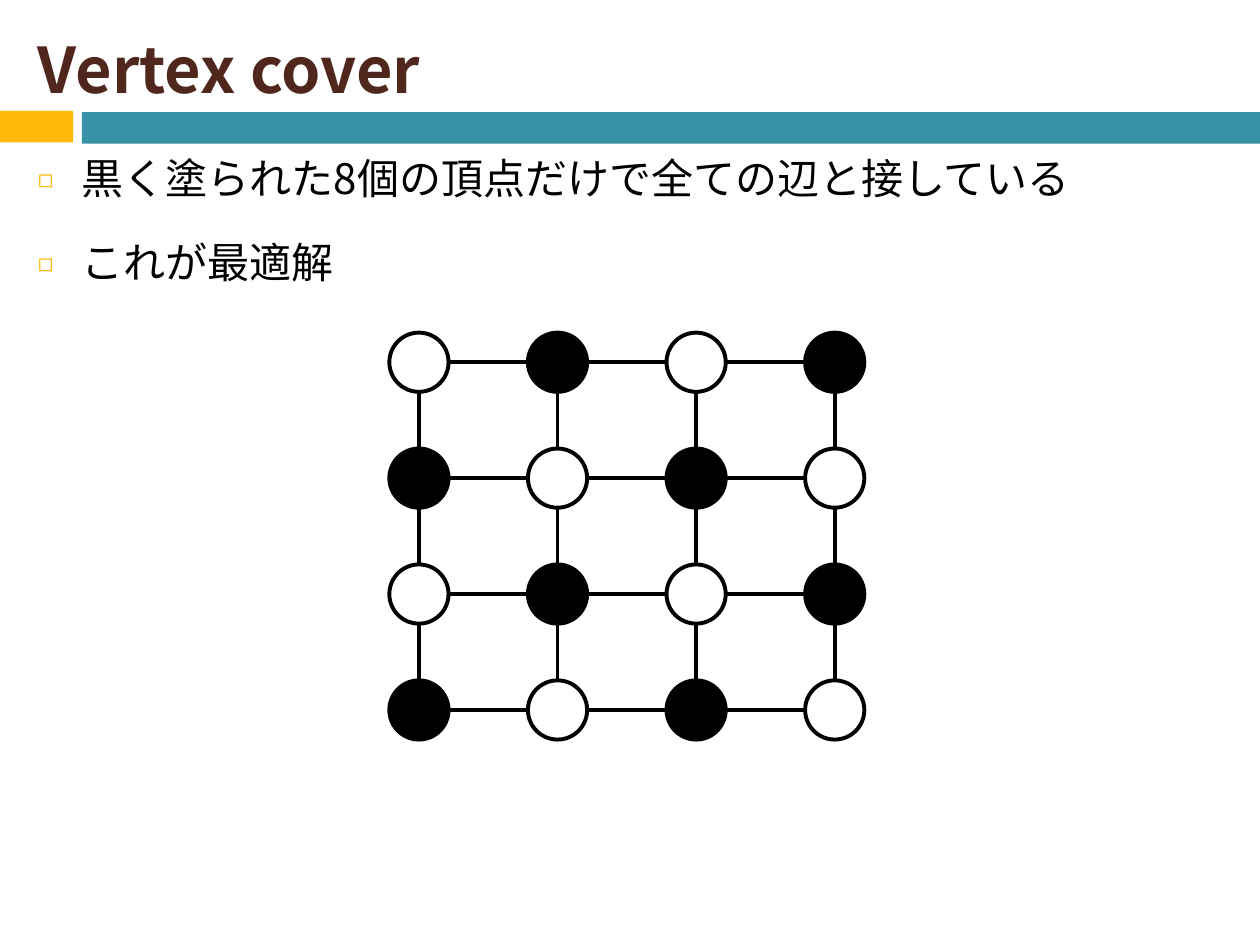
from lxml import etree
from pptx import Presentation
from pptx.dml.color import RGBColor
from pptx.enum.shapes import MSO_CONNECTOR, MSO_SHAPE
from pptx.enum.text import MSO_ANCHOR, MSO_AUTO_SIZE, PP_ALIGN
from pptx.oxml.ns import qn
from pptx.util import Inches, Pt

RECTANGLE, OVAL = MSO_SHAPE.RECTANGLE, MSO_SHAPE.OVAL
STRAIGHT = MSO_CONNECTOR.STRAIGHT
LEFT, TOP, MIDDLE = PP_ALIGN.LEFT, MSO_ANCHOR.TOP, MSO_ANCHOR.MIDDLE
NO_AUTOFIT = MSO_AUTO_SIZE.NONE

FONT = "Noto Sans CJK JP"
COLORS = {
    "title": "4F271C",
    "accent": "FEB80A",
    "bar": "3891A7",
    "ink": "000000",
    "paper": "FFFFFF",
}


def color(name):
    return RGBColor.from_string(COLORS[name])


def format_run(run, size, color_name, bold=False):
    """Set Latin and East Asian typeface, size, colour and weight."""
    run.font.name = FONT
    run.font.size = Pt(size)
    run.font.bold = bold
    run.font.color.rgb = color(color_name)
    etree.SubElement(run.font._element, qn("a:ea"), typeface=FONT)


presentation = Presentation()
presentation.slide_width = Inches(10)
presentation.slide_height = Inches(7.5)
slide = presentation.slides.add_slide(presentation.slide_layouts[1])

# Header bars
for left, top, width, name in [(0, 0.88, 0.58, "accent"), (0.65, 0.89, 9.35, "bar")]:
    bar = slide.shapes.add_shape(
        RECTANGLE, Inches(left), Inches(top), Inches(width), Inches(0.25)
    )
    bar.shadow.inherit = False
    bar.fill.solid()
    bar.fill.fore_color.rgb = color(name)
    bar.line.fill.background()

# Title and list
title, body = slide.shapes.title, slide.placeholders[1]
for placeholder, top, height, anchor in [
    (title, 0.21, 0.67, MIDDLE),
    (body, 1.23, 5.75, TOP),
]:
    placeholder.left, placeholder.top = Inches(0.2), Inches(top)
    placeholder.width, placeholder.height = Inches(9.61), Inches(height)
    placeholder.text_frame.auto_size = NO_AUTOFIT
    placeholder.text_frame.vertical_anchor = anchor

title.text_frame.text = "Vertex cover"
heading = title.text_frame.paragraphs[0]
heading.alignment = LEFT
format_run(heading.runs[0], 36, "title", bold=True)

body.text_frame.text = "黒く塗られた8個の頂点だけで全ての辺と接している\nこれが最適解"
for paragraph in body.text_frame.paragraphs:
    paragraph.line_spacing = 0.83
    paragraph.space_before = Pt(18)
    paragraph.space_after = Pt(6)
    format_run(paragraph.runs[0], 24, "ink")
    properties = paragraph._p.get_or_add_pPr()
    properties.set("marL", str(Inches(0.35)))
    properties.set("indent", str(Inches(-0.35)))
    bullet_color = etree.SubElement(properties, qn("a:buClr"))
    etree.SubElement(bullet_color, qn("a:srgbClr"), val=COLORS["accent"])
    etree.SubElement(properties, qn("a:buSzPct"), val="60000")
    etree.SubElement(properties, qn("a:buFont"), typeface=FONT)
    etree.SubElement(properties, qn("a:buChar"), char="◻")

# Grid graph: vertices alternate between white and black
SIZE = 4
DIAMETER = 0.47
RADIUS = DIAMETER / 2
GRID_LEFT, GRID_TOP = 3.09, 2.64
PITCH_X, PITCH_Y = 1.1, 0.92

for row in range(SIZE):
    for column in range(SIZE):
        left, top = GRID_LEFT + column * PITCH_X, GRID_TOP + row * PITCH_Y
        vertex = slide.shapes.add_shape(
            OVAL, Inches(left), Inches(top), Inches(DIAMETER), Inches(DIAMETER)
        )
        vertex.shadow.inherit = False
        vertex.fill.solid()
        vertex.fill.fore_color.rgb = color("ink" if (row + column) % 2 else "paper")
        vertex.line.color.rgb = color("ink")
        vertex.line.width = Pt(2.25)

        center_x, center_y = left + RADIUS, top + RADIUS
        edges = []
        if column < SIZE - 1:
            edges.append((left + DIAMETER, center_y, left + PITCH_X, center_y))
        if row < SIZE - 1:
            edges.append((center_x, top + DIAMETER, center_x, top + PITCH_Y))
        for ends in edges:
            edge = slide.shapes.add_connector(STRAIGHT, *[Inches(end) for end in ends])
            edge.line.color.rgb = color("ink")
            edge.line.width = Pt(2.25)
            etree.SubElement(edge._element.spPr, qn("a:effectLst"))

presentation.save("out.pptx")
